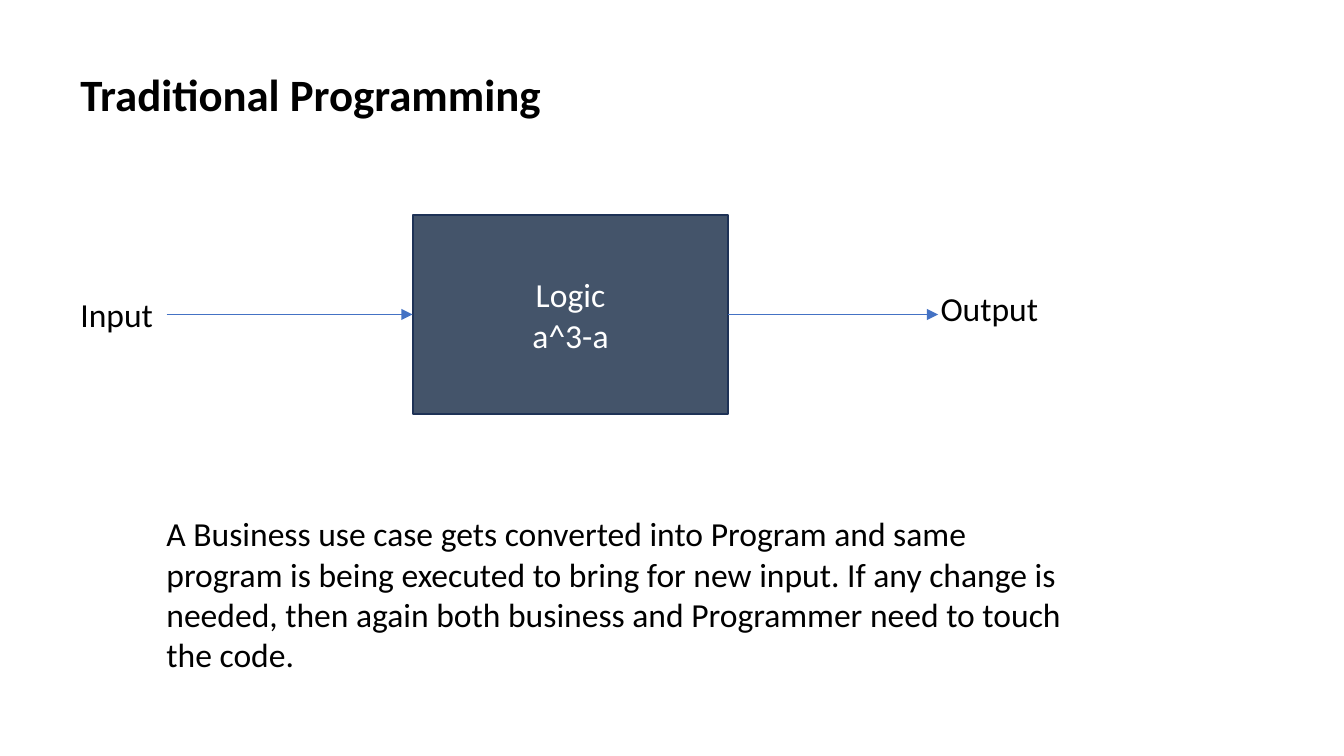
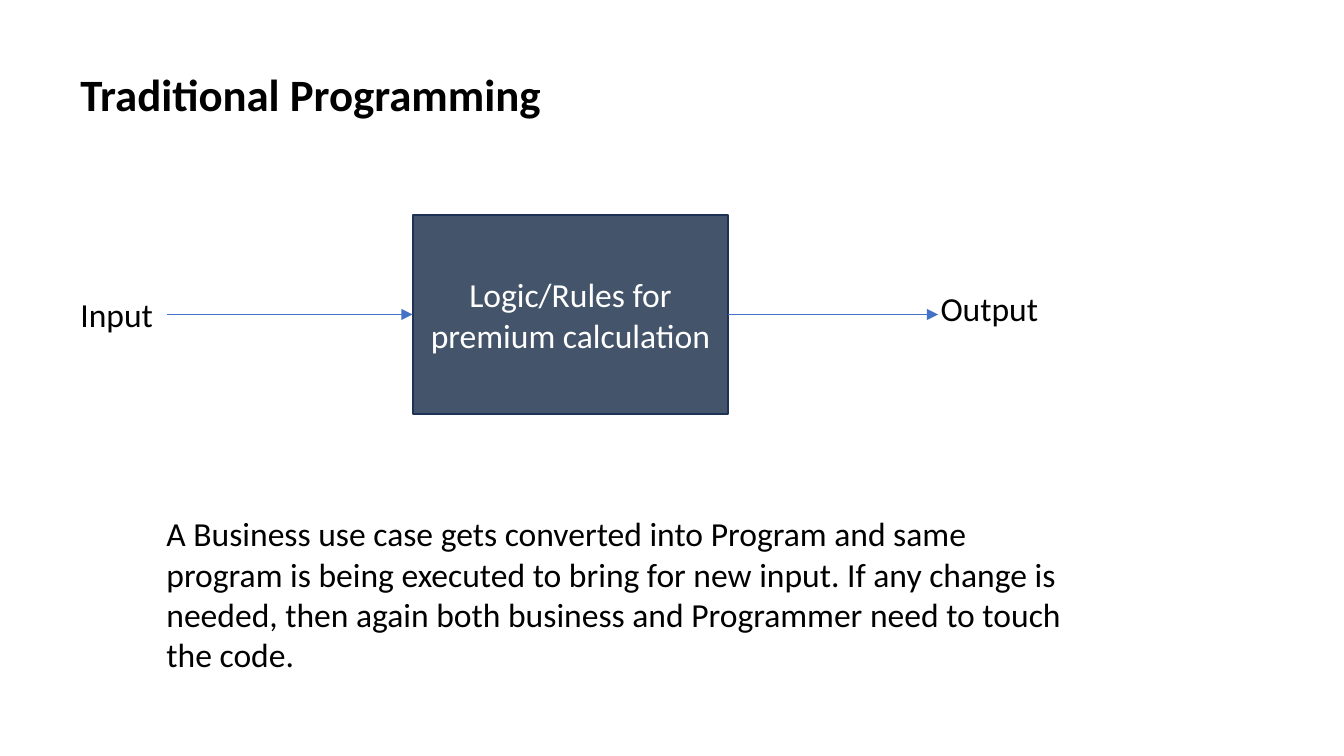
from pptx import Presentation
from pptx.dml.color import RGBColor
from pptx.enum import shapes, text
from pptx.oxml.ns import qn
from pptx.util import Inches, Pt
from lxml import etree

FONT = "Calibri"
BLACK = RGBColor(0x00, 0x00, 0x00)
WHITE = RGBColor(0xFF, 0xFF, 0xFF)
SLATE = RGBColor(0x44, 0x54, 0x6A)
NAVY = RGBColor(0x1E, 0x32, 0x56)
BLUE = RGBColor(0x44, 0x72, 0xC4)

WIDTH = Inches(10)
HEIGHT = WIDTH * 9 // 16

TITLE = "Traditional Programming"
NOTE = (
    "A Business use case gets converted into Program and same program is "
    "being executed to bring for new input. If any change is needed, then "
    "again both business and Programmer need to touch the code."
)
BOX_LEFT, BOX_TOP, BOX_WIDTH, BOX_HEIGHT = 3.07, 1.6, 2.35, 1.48
LOGICS = [
    ["Logic", "a^3-a"],
    ["Logic/Rules for premium calculation"],
]


def write(shape, lines, size=18, color=BLACK, bold=False, align=None):
    """Fill a shape with one paragraph per line."""
    frame = shape.text_frame
    frame.word_wrap = True
    for i, line in enumerate(lines):
        para = frame.add_paragraph() if i else frame.paragraphs[0]
        para.alignment = align
        run = para.add_run()
        run.text = line
        font = run.font
        font.name, font.size, font.bold = FONT, Pt(size), bold
        font.color.rgb = color


def add_label(slide, words, left, top, width, height):
    box = slide.shapes.add_textbox(*map(Inches, (left, top, width, height)))
    write(box, [words])
    box.text_frame.auto_size = text.MSO_AUTO_SIZE.SHAPE_TO_FIT_TEXT


def add_title(slide):
    box = slide.shapes.add_textbox(*map(Inches, (0.5, 0.25, 9, 0.9)))
    box.text_frame.vertical_anchor = text.MSO_ANCHOR.MIDDLE
    write(box, [TITLE], size=24, bold=True)


def add_logic(slide, lines):
    box = slide.shapes.add_shape(
        shapes.MSO_SHAPE.RECTANGLE,
        *map(Inches, (BOX_LEFT, BOX_TOP, BOX_WIDTH, BOX_HEIGHT)),
    )
    box.shadow.inherit = False
    box.fill.solid()
    box.fill.fore_color.rgb = SLATE
    box.line.color.rgb = NAVY
    box.line.width = Pt(1)
    box.text_frame.vertical_anchor = text.MSO_ANCHOR.MIDDLE
    write(box, lines, color=WHITE, align=text.PP_ALIGN.CENTER)


def add_arrow(slide, start, end):
    """Draw a level arrow at the middle of the logic box."""
    mid = BOX_TOP + BOX_HEIGHT / 2
    arrow = slide.shapes.add_connector(
        shapes.MSO_CONNECTOR.STRAIGHT, *map(Inches, (start, mid, end, mid))
    )
    arrow.line.color.rgb = BLUE
    arrow.line.width = Pt(0.5)
    line = arrow.line._get_or_add_ln()
    etree.SubElement(line, qn("a:tailEnd"), type="triangle")
    etree.SubElement(arrow._element.spPr, qn("a:effectLst"))


def add_flow(deck, logic):
    slide = deck.slides.add_slide(deck.slide_layouts[6])
    add_title(slide)
    add_logic(slide, logic)
    add_arrow(slide, 1.24, BOX_LEFT)
    add_arrow(slide, BOX_LEFT + BOX_WIDTH, 6.98)
    add_label(slide, "Input", 0.5, 2.14, 0.8, 0.4)
    add_label(slide, "Output", 6.9, 2.09, 1.03, 0.4)
    add_label(slide, NOTE, 1.14, 3.77, 6.97, 1.31)


def main():
    deck = Presentation()
    deck.slide_width, deck.slide_height = WIDTH, HEIGHT
    for logic in LOGICS:
        add_flow(deck, logic)
    deck.save("out.pptx")


if __name__ == "__main__":
    main()
